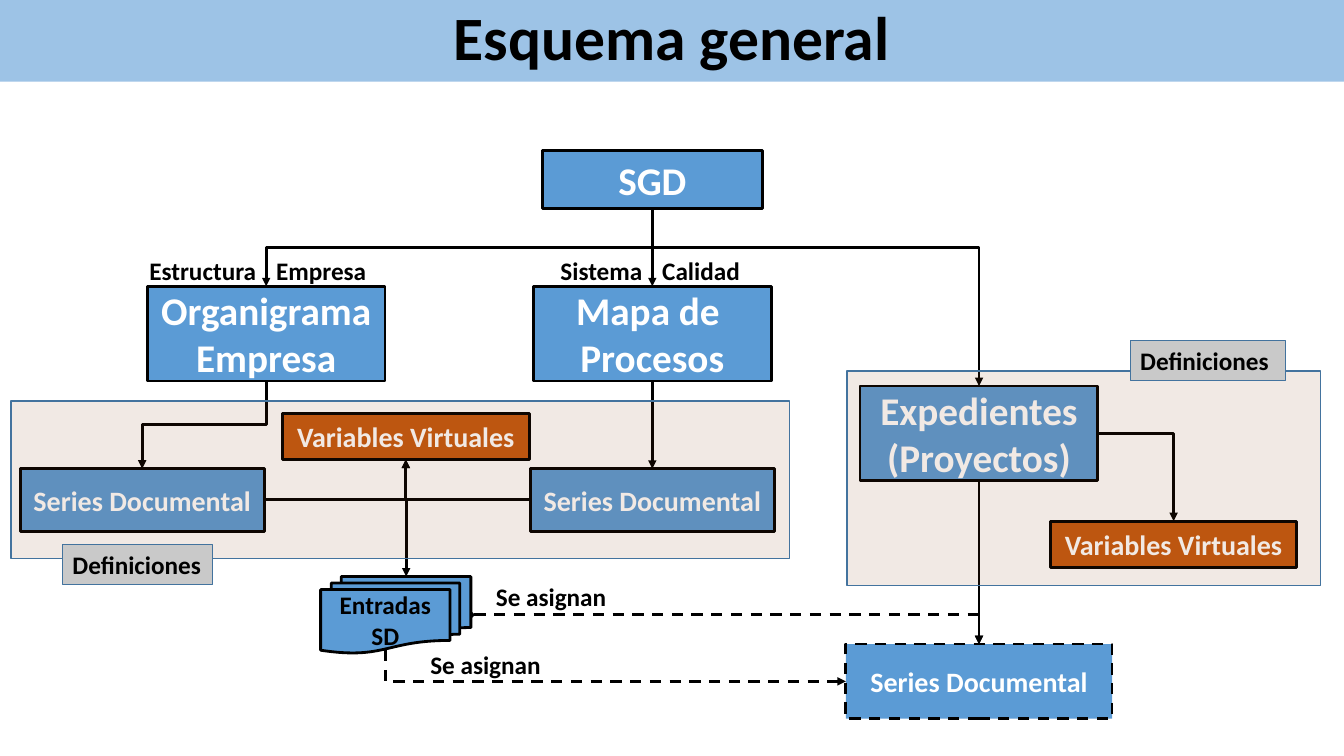
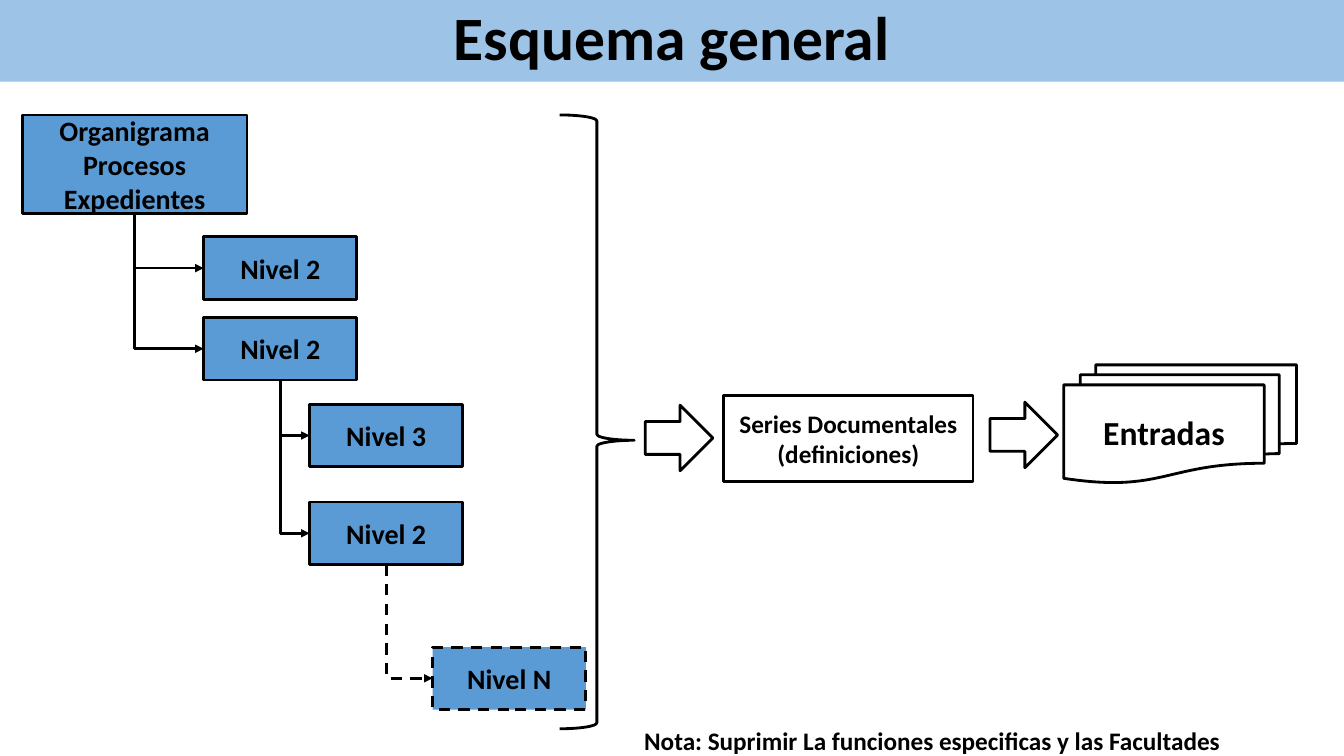
from lxml import etree
from pptx import Presentation
from pptx.dml.color import RGBColor
from pptx.enum.dml import MSO_LINE
from pptx.enum.shapes import MSO_CONNECTOR, MSO_SHAPE
from pptx.enum.text import MSO_ANCHOR, MSO_AUTO_SIZE, PP_ALIGN
from pptx.oxml.ns import qn
from pptx.util import Inches, Pt

RECT = MSO_SHAPE.RECTANGLE
PROCESS = MSO_SHAPE.FLOWCHART_PROCESS
DOCUMENTS = MSO_SHAPE.FLOWCHART_MULTIDOCUMENT
ARROW = MSO_SHAPE.RIGHT_ARROW
BRACE = MSO_SHAPE.RIGHT_BRACE
LEFT, CENTER, RIGHT = PP_ALIGN.LEFT, PP_ALIGN.CENTER, PP_ALIGN.RIGHT
TOP_SIDE, LEFT_SIDE, BOTTOM_SIDE, RIGHT_SIDE = range(4)

FONT = "Calibri"
COLORS = {"band": "9DC3E6", "blue": "5B9BD5", "orange": "C55A11", "grey": "C9C9C9",
          "panel": "843C0B", "edge": "43739E", "black": "000000", "white": "FFFFFF"}
TITLE = "Esquema general"

# Where connectors join a shape, as fractions of its width and height
SITES = {TOP_SIDE: (0.5, 0), LEFT_SIDE: (0, 0.5), BOTTOM_SIDE: (0.5, 1), RIGHT_SIDE: (1, 0.5)}
DOCUMENT_SITES = {**SITES, TOP_SIDE: (0.57, 0), BOTTOM_SIDE: (0.43, 0.96)}

# Slide 1: name, lines, box, look
SCHEME_NODES = [
    ("sgd", ["SGD"], (5.38, 1.49, 2.18, 0.58), {"size": 28}),
    ("organigrama", ["Organigrama", "Empresa"], (1.46, 2.84, 2.36, 0.94), {"size": 28}),
    ("procesos", ["Mapa de ", "Procesos"], (5.29, 2.84, 2.36, 0.94), {"size": 28}),
    ("expedientes", ["Expedientes", "(Proyectos)"], (8.53, 3.83, 2.36, 0.94), {"size": 28}),
    ("series_left", ["Series Documental"], (0.2, 4.65, 2.42, 0.62), {}),
    ("series_right", ["Series Documental"], (5.26, 4.65, 2.42, 0.62), {}),
    ("series_file", ["Series Documental"], (8.39, 6.39, 2.64, 0.74), {"dash": True}),
    ("variables_file", ["Variables Virtuales"], (10.42, 5.17, 2.44, 0.46), {"fill": "orange"}),
    ("variables", ["Variables Virtuales"], (2.8, 4.1, 2.45, 0.46), {"fill": "orange"}),
    ("entradas", ["Entradas SD"], (3.18, 5.72, 1.49, 0.76),
     {"kind": DOCUMENTS, "size": 18, "color": "black"}),
]
SCHEME_LINKS = [
    ("organigrama", BOTTOM_SIDE, "series_left", TOP_SIDE, {}),
    ("sgd", BOTTOM_SIDE, "organigrama", TOP_SIDE, {}),
    ("sgd", BOTTOM_SIDE, "procesos", TOP_SIDE, {}),
    ("sgd", BOTTOM_SIDE, "expedientes", TOP_SIDE, {"bend": 0.22}),
    ("procesos", BOTTOM_SIDE, "series_right", TOP_SIDE, {}),
    ("expedientes", BOTTOM_SIDE, "series_file", TOP_SIDE, {}),
    ("entradas", BOTTOM_SIDE, "series_file", LEFT_SIDE, {"dash": True}),
    ("entradas", RIGHT_SIDE, "series_file", TOP_SIDE, {"dash": True, "head": "diamond"}),
    ("series_right", LEFT_SIDE, "variables", BOTTOM_SIDE, {}),
    ("series_left", RIGHT_SIDE, "variables", BOTTOM_SIDE, {}),
    ("expedientes", RIGHT_SIDE, "variables_file", TOP_SIDE, {}),
    ("series_right", LEFT_SIDE, "entradas", TOP_SIDE, {}),
]
ARROW_CAPTIONS = [("Estructura", "Empresa", 2.64), ("Sistema", "Calidad", 6.47)]
ASSIGN_LABELS = [("Se asignan", (4.82, 5.72, 1.3, 0.4)), ("Se asignan", (4.17, 6.39, 1.3, 0.4))]
PANELS = [  # panel box, tag box
    ((0.11, 3.98, 7.72, 1.56), (0.62, 5.4, 1.49, 0.4)),
    ((8.4, 3.68, 4.7, 2.13), (11.21, 3.38, 1.54, 0.4)),
]

# Slide 2
LEVEL_SIZE = (1.52, 0.62)
LEVELS = [  # name, text, left, top, parent
    ("level_a", "Nivel 2", 2.02, 2.35, "root"),
    ("level_b", "Nivel 2", 2.02, 3.15, "root"),
    ("level_c", "Nivel 3", 3.07, 4.01, "level_b"),
    ("level_d", "Nivel 2", 3.07, 4.98, "level_b"),
    ("level_n", "Nivel N", 4.29, 6.42, "level_d"),
]
FLOW = [  # kind, lines, box, text size
    (ARROW, [], (6.4, 4.02, 0.67, 0.65), 18),
    (PROCESS, ["Series Documentales", "(definiciones)"], (7.18, 3.92, 2.47, 0.86), 18),
    (DOCUMENTS, ["Entradas"], (10.55, 3.62, 2.31, 1.17), 24),
    (ARROW, [], (9.82, 3.99, 0.67, 0.65), 18),
]
NOTE = "Nota: Suprimir La funciones especificas y las Facultades"


def rgb(name):
    return RGBColor.from_string(COLORS[name])


def write(shape, lines, size, color="black", align=CENTER, anchor=MSO_ANCHOR.MIDDLE):
    frame = shape.text_frame
    frame.word_wrap = True
    frame.auto_size = MSO_AUTO_SIZE.NONE
    frame.vertical_anchor = anchor
    frame.text = "\n".join(lines)
    for paragraph in frame.paragraphs:
        paragraph.alignment = align
        for run in paragraph.runs:
            run.font.name = FONT
            run.font.size = Pt(size)
            run.font.bold = True
            run.font.color.rgb = rgb(color)


def add_node(slide, lines, box, kind=RECT, fill="blue", size=20, color="white",
             edge="black", weight=2, dash=False, align=CENTER):
    shape = slide.shapes.add_shape(kind, *map(Inches, box))
    shape.shadow.inherit = False
    if fill:
        shape.fill.solid()
        shape.fill.fore_color.rgb = rgb(fill)
    else:
        shape.fill.background()
    shape.line.color.rgb = rgb(edge)
    shape.line.width = Pt(weight)
    if dash:
        shape.line.dash_style = MSO_LINE.DASH
    if lines:
        write(shape, lines, size, color, align)
    return shape


def add_label(slide, text, box, align=LEFT):
    write(slide.shapes.add_textbox(*map(Inches, box)), [text], 18, align=align,
          anchor=MSO_ANCHOR.TOP)


def site_point(shape, side):
    sites = DOCUMENT_SITES if shape.auto_shape_type == DOCUMENTS else SITES
    across, down = sites[side]
    return int(shape.left + across * shape.width), int(shape.top + down * shape.height)


def bend_connector(connector, start, end, start_side, end_side, bend):
    """Route an elbow that leaves its start shape at a right angle to the side."""
    dx, dy = end[0] - start[0], end[1] - start[1]
    vertical = start_side in (TOP_SIDE, BOTTOM_SIDE)
    width, height = (abs(dy), abs(dx)) if vertical else (abs(dx), abs(dy))
    connector.left = (start[0] + end[0] - width) // 2
    connector.top = (start[1] + end[1] - height) // 2
    connector.width, connector.height = width, height
    transform = connector._element.spPr.find(qn("a:xfrm"))
    flip_h, flip_v = (dy < 0, dx > 0) if vertical else (dx < 0, dy < 0)
    transform.set("rot", "5400000" if vertical else "0")
    transform.set("flipH", str(int(flip_h)))
    transform.set("flipV", str(int(flip_v)))
    geometry = connector._element.spPr.find(qn("a:prstGeom"))
    if start_side % 2 != end_side % 2:
        geometry.set("prst", "bentConnector2")
    else:
        guide = etree.SubElement(geometry.find(qn("a:avLst")), qn("a:gd"))
        guide.set("name", "adj1")
        guide.set("fmla", f"val {round(bend * 100000)}")


def add_link(slide, source, start_side, target, end_side, dash=False, head=None, bend=0.5):
    start, end = site_point(source, start_side), site_point(target, end_side)
    straight = abs(start[0] - end[0]) < Inches(0.02)
    kind = MSO_CONNECTOR.STRAIGHT if straight else MSO_CONNECTOR.ELBOW
    connector = slide.shapes.add_connector(kind, *start, *end)
    connector.begin_connect(source, start_side)
    connector.end_connect(target, end_side)
    if not straight:
        bend_connector(connector, start, end, start_side, end_side, bend)
    connector.line.color.rgb = rgb("black")
    connector.line.width = Pt(2)
    if dash:
        connector.line.dash_style = MSO_LINE.DASH
    properties = connector._element.spPr
    line = properties.find(qn("a:ln"))
    if head:
        etree.SubElement(line, qn("a:headEnd")).set("type", head)
    etree.SubElement(line, qn("a:tailEnd")).set("type", "triangle")
    etree.SubElement(properties, qn("a:effectLst"))


def add_titled_slide(presentation):
    slide = presentation.slides.add_slide(presentation.slide_layouts[5])
    title = slide.shapes.title
    title.left, title.top = 0, 0
    title.width, title.height = presentation.slide_width, Inches(0.81)
    title.fill.solid()
    title.fill.fore_color.rgb = rgb("band")
    write(title, [TITLE], 44)
    title.text_frame.paragraphs[0].line_spacing = 0.9
    return slide


def build_scheme(presentation):
    slide = add_titled_slide(presentation)
    nodes = {name: add_node(slide, lines, box, **look)
             for name, lines, box, look in SCHEME_NODES}
    for source, start_side, target, end_side, look in SCHEME_LINKS:
        add_link(slide, nodes[source], start_side, nodes[target], end_side, **look)
    # The document stack covers the line ends that meet it
    slide.shapes._spTree.append(nodes["entradas"]._element)

    # Captions on both sides of the arrows
    for before, after, x in ARROW_CAPTIONS:
        add_label(slide, before, (x - 1.5, 2.48, 1.5, 0.4), RIGHT)
        add_label(slide, after, (x, 2.48, 1.5, 0.4))
    for text, box in ASSIGN_LABELS:
        add_label(slide, text, box)

    # Tinted panels with their tags
    for panel_box, tag_box in PANELS:
        panel = add_node(slide, [], panel_box, PROCESS, "panel", edge="edge", weight=1)
        tint = panel._element.spPr.find(qn("a:solidFill"))[0]
        etree.SubElement(tint, qn("a:alpha")).set("val", "11000")
        add_node(slide, ["Definiciones"], tag_box, fill="grey", size=18, color="black",
                 edge="edge", weight=0.75, align=LEFT)


def build_levels(presentation):
    slide = add_titled_slide(presentation)

    # Level tree
    nodes = {"root": add_node(slide, ["Organigrama Procesos Expedientes"],
                              (0.22, 1.14, 2.23, 0.98), color="black")}
    for name, text, left, top, parent in LEVELS:
        dash = name == "level_n"
        nodes[name] = add_node(slide, [text], (left, top, *LEVEL_SIZE),
                               color="black", dash=dash)
        add_link(slide, nodes[parent], BOTTOM_SIDE, nodes[name], LEFT_SIDE, dash=dash)

    # Brace and flow to the entries
    brace = add_node(slide, [], (5.55, 1.14, 0.74, 6.09), BRACE, fill=None)
    brace.adjustments[0] = 0.08
    brace.adjustments[1] = 0.53
    for kind, lines, box, size in FLOW:
        add_node(slide, lines, box, kind, fill=None, size=size, color="black")
    add_label(slide, NOTE, (6.29, 7.15, 6.88, 0.4))


def main():
    presentation = Presentation()
    presentation.slide_width, presentation.slide_height = Inches(13.33), Inches(7.5)
    build_scheme(presentation)
    build_levels(presentation)
    presentation.save("out.pptx")


if __name__ == "__main__":
    main()
